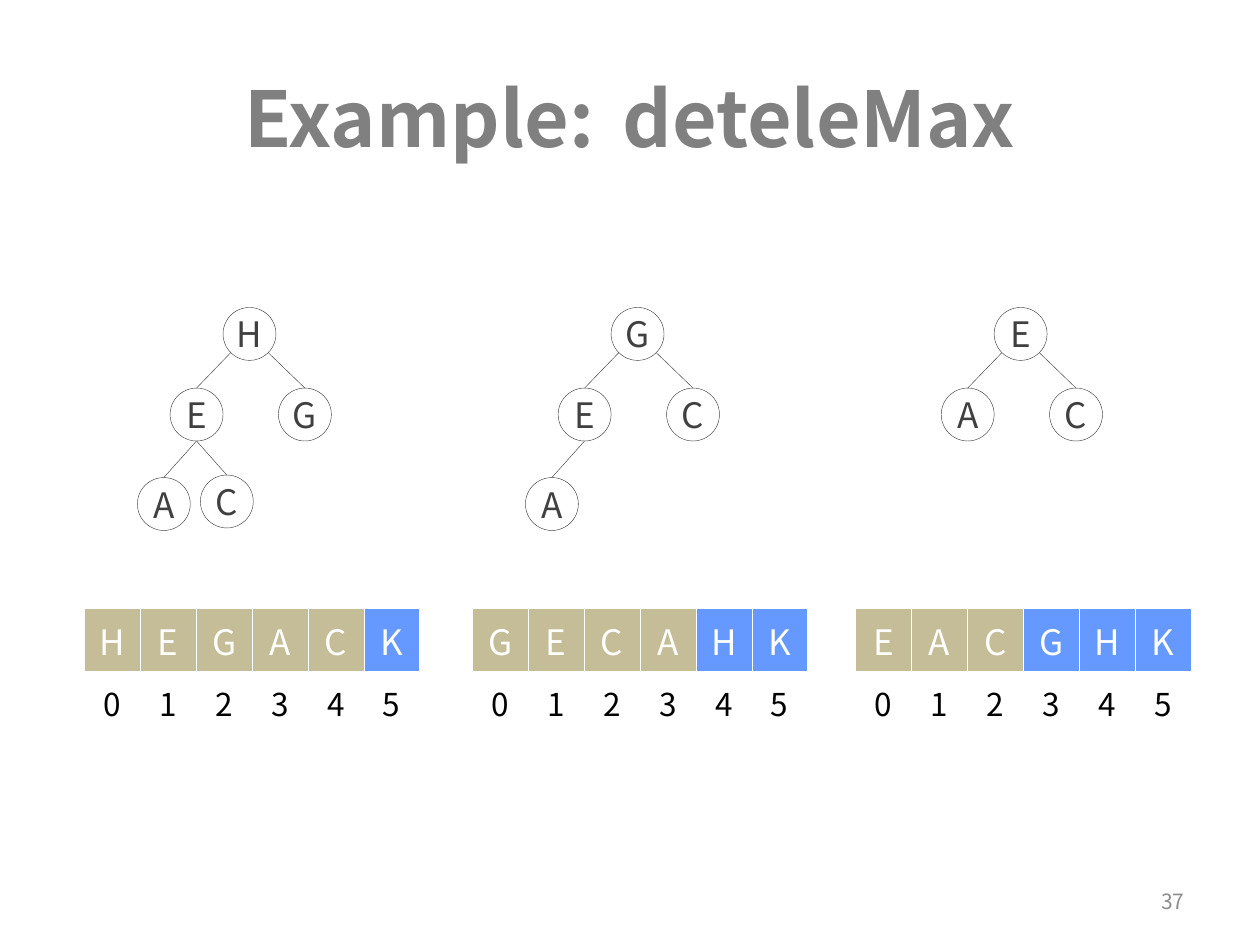
from lxml import etree
from pptx import Presentation
from pptx import util as u
from pptx.dml.color import RGBColor
from pptx.enum import shapes, text
from pptx.oxml import parse_xml
from pptx.oxml.ns import nsdecls, qn

# Content: array contents and the number of items still in the heap
TITLE = "Example: \tdeteleMax"
PAGE_NUMBER = "37"
STEPS = [
    {"left": 0.67, "array": "HEGACK", "heap_size": 5},
    {"left": 3.75, "array": "GECAHK", "heap_size": 4},
    {"left": 6.79, "array": "EACGHK", "heap_size": 3},
]

THEME = {
    "font": "Noto Sans CJK SC",
    "title": "808080", "number": "8C8C8C", "node": "404040",
    "heap": "C4BD97", "sorted": "6699FF", "white": "FFFFFF", "index": "000000",
    "title_size": 44, "letter_size": 20, "index_size": 18, "number_size": 12,
    "line_width": 0.25,
}

# Geometry in inches; node offsets run in level order, x from the array's left
NODE_SIZE = 0.42
NODE_OFFSETS = [(1.1, 2.44), (0.68, 3.08), (1.54, 3.08), (0.42, 3.79), (0.92, 3.77)]
CORNER = 0.06
ARRAY_TOP, ARRAY_WIDTH, ROW_HEIGHT = 4.83, 2.66, 0.5


def color(name):
    return RGBColor.from_string(THEME[name])


def write(frame, content, *, size, fill, align=text.PP_ALIGN.CENTER, bold=False):
    frame.vertical_anchor = text.MSO_ANCHOR.MIDDLE
    paragraph = frame.paragraphs[0]
    paragraph.alignment = align
    run = paragraph.add_run()
    run.text = content
    run.font.name = THEME["font"]
    run.font.size = u.Pt(THEME[size])
    run.font.bold = bold
    run.font.color.rgb = color(fill)


def set_line(shape):
    shape.line.color.rgb = color("node")
    shape.line.width = u.Pt(THEME["line_width"])


def add_node(slide, letter, left, top):
    node = slide.shapes.add_shape(
        shapes.MSO_SHAPE.OVAL, *map(u.Inches, (left, top, NODE_SIZE, NODE_SIZE)))
    node.shadow.inherit = False
    node.fill.background()
    set_line(node)
    frame = node.text_frame
    frame.word_wrap = False
    frame.margin_left = frame.margin_right = frame.margin_top = frame.margin_bottom = 0
    write(frame, letter, size="letter_size", fill="node")


def add_edge(slide, start, end):
    edge = slide.shapes.add_connector(
        shapes.MSO_CONNECTOR.STRAIGHT, *map(u.Inches, (*start, *end)))
    set_line(edge)
    etree.SubElement(edge._element.spPr, qn("a:effectLst"))


def add_heap(slide, letters, left):
    """Draw the letters as a binary tree: the parent of i is (i - 1) // 2."""
    places = [(left + x, y) for x, y in NODE_OFFSETS[:len(letters)]]
    for i, (letter, (x, y)) in enumerate(zip(letters, places)):
        add_node(slide, letter, x, y)
        if i == 0:
            continue
        parent = (i - 1) // 2
        parent_x, parent_y = places[parent]
        if parent == 0:  # the root's edges leave from its lower corners
            shift = CORNER if i % 2 else NODE_SIZE - CORNER
            start = (parent_x + shift, parent_y + NODE_SIZE - CORNER)
        else:
            start = (parent_x + NODE_SIZE / 2, parent_y + NODE_SIZE)
        add_edge(slide, start, (x + NODE_SIZE / 2, y))


def set_borders(cell, sides):
    properties = cell._tc.get_or_add_tcPr()
    for position, side in enumerate(sides):
        properties.insert(position, parse_xml(
            f'<a:ln{side} {nsdecls("a")} w="{u.Pt(THEME["line_width"])}"><a:solidFill>'
            f'<a:srgbClr val="{THEME["white"]}"/></a:solidFill></a:ln{side}>'))


def add_array(slide, letters, heap_size, left):
    table = slide.shapes.add_table(
        2, len(letters),
        *map(u.Inches, (left, ARRAY_TOP, ARRAY_WIDTH, 2 * ROW_HEIGHT))).table
    table.first_row = table.horz_banding = False
    for i, letter in enumerate(letters):
        letter_cell, index_cell = table.cell(0, i), table.cell(1, i)
        set_borders(letter_cell, "LRTB")
        set_borders(index_cell, "LRT")
        letter_cell.fill.solid()
        letter_cell.fill.fore_color.rgb = color("heap" if i < heap_size else "sorted")
        index_cell.fill.background()
        for cell, content, size, fill in (
                (letter_cell, letter, "letter_size", "white"),
                (index_cell, str(i), "index_size", "index")):
            cell.vertical_anchor = text.MSO_ANCHOR.MIDDLE
            write(cell.text_frame, content, size=size, fill=fill)


def main():
    presentation = Presentation()
    presentation.slide_width, presentation.slide_height = u.Inches(10), u.Inches(7.5)
    slide = presentation.slides.add_slide(presentation.slide_layouts[5])

    # Title
    title = slide.shapes.title
    title.left, title.top, title.width, title.height = map(u.Inches, (0.5, 0.3, 9, 1.25))
    write(title.text_frame, TITLE, size="title_size", fill="title", bold=True)

    # Page number
    number = slide.shapes.add_textbox(*map(u.Inches, (7.17, 6.95, 2.33, 0.4)))
    number.text_frame.word_wrap = True
    write(number.text_frame, PAGE_NUMBER, size="number_size", fill="number",
          align=text.PP_ALIGN.RIGHT)

    # Each step: the array with its heap above
    for step in STEPS:
        add_array(slide, step["array"], step["heap_size"], step["left"])
        add_heap(slide, step["array"][:step["heap_size"]], step["left"])

    presentation.save("out.pptx")


if __name__ == "__main__":
    main()
